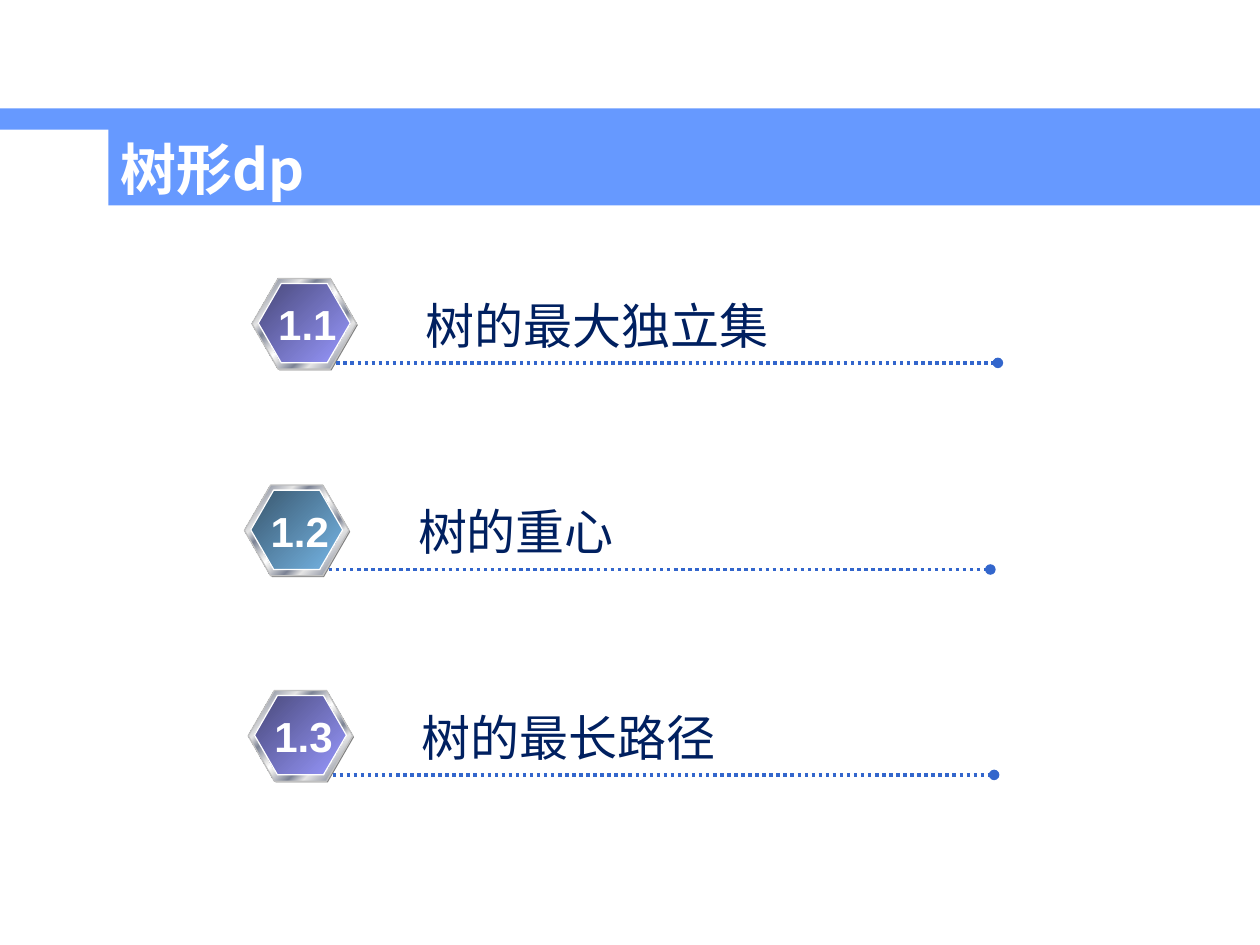
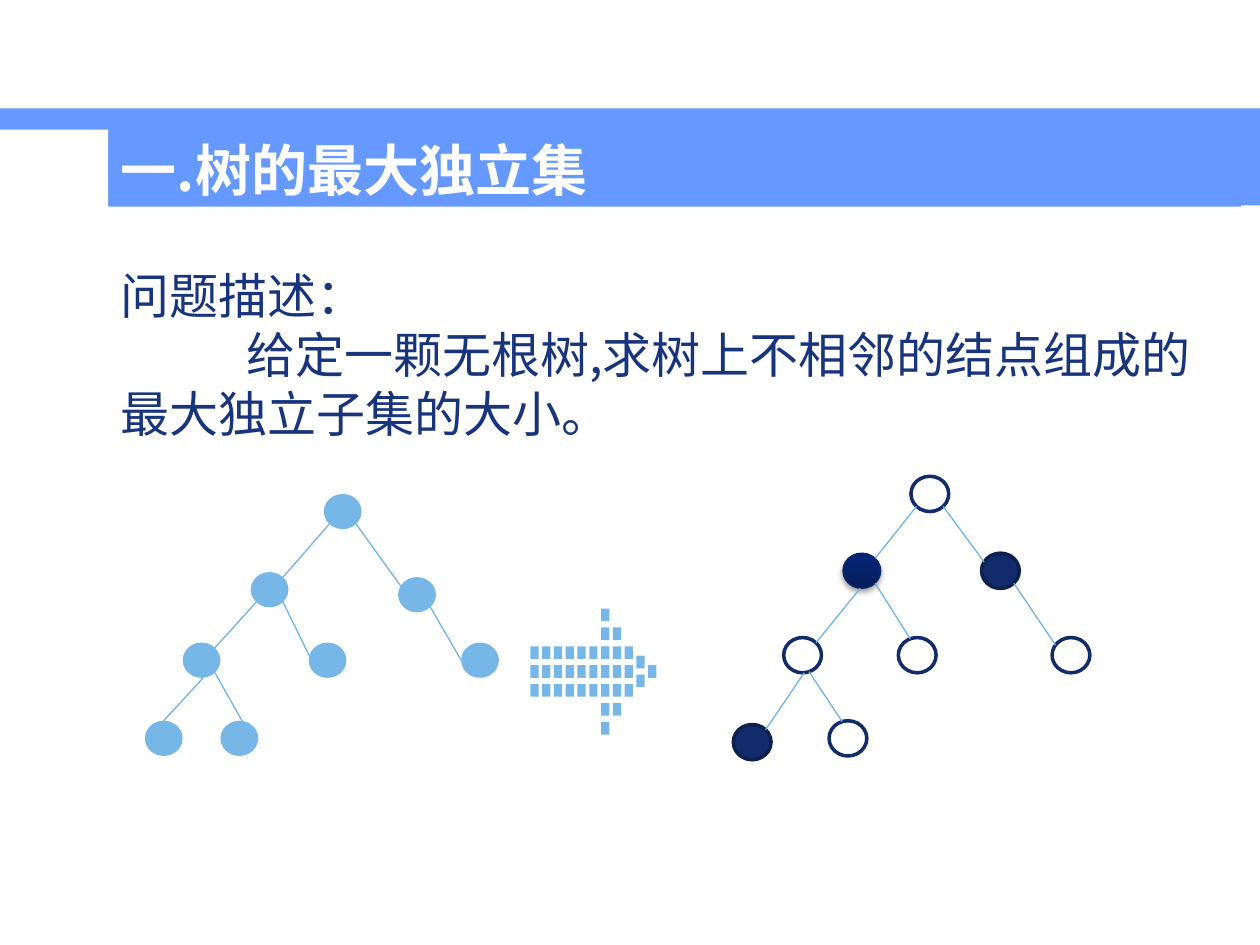
from math import cos, radians, sin

from lxml import etree
from pptx import Presentation
from pptx.dml.color import RGBColor
from pptx.enum import dml, shapes, text
from pptx.oxml import parse_xml
from pptx.oxml.ns import nsdecls, qn
from pptx.util import Inches, Pt

COLORS = {
    "band": "6699FF", "white": "FFFFFF", "row_text": "002060", "body": "17347D",
    "leader": "3366CC", "hexagon_shade": "808080", "rim": "C0C0C0",
    "sky": "77B7E7", "edge": "72B3E5",
    "navy": "122B6A", "navy_line": "0D204E", "glossy_line": "0F296A",
}
METAL = [(0, "E6E6E6"), (8, "7D8496"), (26, "E6E6E6"), (34, "7D8496"), (46, "E6E6E6"),
         (50, "FFFFFF"), (54, "E6E6E6"), (66, "7D8496"), (74, "E6E6E6"),
         (92, "7D8496"), (100, "E6E6E6")]
VIOLET = [(0, "484879"), (100, "9999FF")]
BLUE = [(0, "38566D"), (100, "77B7E7")]
GLOSSY = [(0, "041C59"), (80, "052473"), (100, "032376")]
SANS, SANS_JP, ARIAL = "Noto Sans CJK SC", "Noto Sans CJK JP", "Arial"
SHAPE = shapes.MSO_SHAPE
NODE_WIDTH, NODE_HEIGHT = 0.3, 0.28


def rgb(name):
    return RGBColor.from_string(COLORS[name])


def add_gradient(shape, stops, angle):
    """Fill the shape with a linear gradient of (percent, hex) stops."""
    stop_xml = "".join(
        f'<a:gs pos="{percent * 1000}"><a:srgbClr val="{color}"/></a:gs>'
        for percent, color in stops)
    gradient = parse_xml(
        f'<a:gradFill {nsdecls("a")} rotWithShape="1"><a:gsLst>{stop_xml}</a:gsLst>'
        f'<a:lin ang="{angle * 60000}" scaled="1"/></a:gradFill>')
    shape.fill.background()
    empty_fill = shape._element.spPr.find(qn("a:noFill"))
    empty_fill.getparent().replace(empty_fill, gradient)


def add_shape(parent, kind, left, top, width, height, fill=None, line=None, weight=0.75):
    shape = parent.shapes.add_shape(
        kind, Inches(left), Inches(top), Inches(width), Inches(height))
    shape.shadow.inherit = False
    if fill:
        shape.fill.solid()
        shape.fill.fore_color.rgb = rgb(fill)
    if line:
        shape.line.color.rgb = rgb(line)
        shape.line.width = Pt(weight)
    else:
        shape.line.fill.background()
    return shape


def add_line(parent, start, end, color, weight):
    line = parent.shapes.add_connector(
        shapes.MSO_CONNECTOR.STRAIGHT, *(Inches(value) for value in (*start, *end)))
    line.line.color.rgb = rgb(color)
    line.line.width = Pt(weight)
    etree.SubElement(line._element.spPr, qn("a:effectLst"))
    return line


def write(para, words, size, color, font, bold=False):
    span = para.add_run()
    span.text = words
    span.font.size = Pt(size)
    span.font.bold = bold
    span.font.name = font
    span.font.color.rgb = rgb(color)
    east_asian = etree.SubElement(span._r.get_or_add_rPr(), qn("a:ea"))
    east_asian.set("typeface", SANS if font == ARIAL else font)


def add_tab_stop(para, position):
    stops = etree.SubElement(para._p.get_or_add_pPr(), qn("a:tabLst"))
    stop = etree.SubElement(stops, qn("a:tab"))
    stop.set("pos", str(Inches(position)))
    stop.set("algn", "l")


def add_text_box(parent, left, top, width, height, wrap=False):
    box = parent.shapes.add_textbox(
        Inches(left), Inches(top), Inches(width), Inches(height))
    box.text_frame.word_wrap = wrap
    return box.text_frame


def add_title(page, words, width=9.14, height=0.61):
    """Draw the header bands and the title, which covers all or most of the lower band."""
    add_shape(page, SHAPE.RECTANGLE, 0, 0.86, 10, 0.17, "band")
    if width < 9.14:
        add_shape(page, SHAPE.RECTANGLE, 0.86, 1.02, 9.14, 0.61, "band")
    title = add_shape(page, SHAPE.RECTANGLE, 0.86, 1.02, width, height, "band")
    title.text_frame.vertical_anchor = text.MSO_ANCHOR.MIDDLE
    title.text_frame.margin_top = Inches(0.07)
    para = title.text_frame.paragraphs[0]
    para.alignment = text.PP_ALIGN.LEFT
    write(para, words, 32, "white", SANS, bold=True)


def add_topic(page, left, top, number, words, words_width, stops):
    """Place one agenda row: a metal hexagon, its number, the topic and a dotted leader."""
    row = page.shapes.add_group_shape()

    def hexagon(x, y, width, height, **style):
        shape = add_shape(row, SHAPE.HEXAGON, left + x, top + y, width, height, **style)
        shape.adjustments[0] = 0.289
        return shape

    hexagon(0.01, 0.01, 0.83, 0.72, fill="hexagon_shade")
    add_gradient(hexagon(0, 0, 0.83, 0.72, line="rim"), METAL, 45)
    add_gradient(hexagon(0.05, 0.04, 0.73, 0.63, line="white"), stops, 45)

    leader = add_line(row, (left + 0.67, top + 0.67), (left + 5.92, top + 0.67), "leader", 2)
    leader.line.dash_style = dml.MSO_LINE.ROUND_DOT
    etree.SubElement(leader.line._get_or_add_ln(), qn("a:tailEnd")).set("type", "oval")

    topic = add_text_box(row, left + 1.28, top + 0.08, words_width, 0.57)
    topic.vertical_anchor = text.MSO_ANCHOR.MIDDLE
    write(topic.paragraphs[0], words, 28, "row_text", ARIAL)
    label = add_text_box(row, left + 0.11, top + 0.11, 0.66, 0.5)
    label.paragraphs[0].alignment = text.PP_ALIGN.CENTER
    write(label.paragraphs[0], number, 24, "white", ARIAL, bold=True)


def add_tree(page, left, top, nodes, edges, styles):
    """Draw nodes at offsets; edges are (parent, child, angle on parent, angle on child)."""
    drawn = {}
    for name, (x, y) in nodes.items():
        drawn[name] = add_shape(page, SHAPE.OVAL, left + x, top + y,
                                NODE_WIDTH, NODE_HEIGHT, **styles(name))

    def rim_point(name, angle):
        x, y = nodes[name]
        return (left + x + NODE_WIDTH / 2 * (1 + cos(radians(angle))),
                top + y + NODE_HEIGHT / 2 * (1 - sin(radians(angle))))

    for parent, child, parent_angle, child_angle in edges:
        add_line(page, rim_point(parent, parent_angle), rim_point(child, child_angle),
                 "edge", 0.75)
    return drawn


def add_glossy_finish(node):
    add_gradient(node, GLOSSY, 270)
    effects = node._element.spPr.find(qn("a:effectLst"))
    effects.append(parse_xml(
        f'<a:outerShdw {nsdecls("a")} blurRad="{Pt(3.1)}" dist="{Pt(1.8)}" dir="5400000" '
        'rotWithShape="0"><a:srgbClr val="000000"><a:alpha val="35000"/></a:srgbClr>'
        '</a:outerShdw>'))


def add_tile_arrow(page, left, top):
    """Build a right arrow out of small tiles, as one outline."""
    column_step, row_step, tile_width, tile_height = 0.0935, 0.15, 0.065, 0.1
    tiles = [(column, row) for row in (2, 3, 4) for column in range(9)]
    tiles += [(6, 0), (6, 1), (7, 1), (6, 5), (7, 5), (6, 6)]
    tiles += [(9, 2.5), (9, 3.5), (10, 3)]
    builder = None
    for column, row in tiles:
        x, y = left + column * column_step, top + row * row_step
        if builder is None:
            builder = page.shapes.build_freeform(Inches(x), Inches(y))
        else:
            builder.move_to(Inches(x), Inches(y))
        corners = [(x + tile_width, y), (x + tile_width, y + tile_height),
                   (x, y + tile_height)]
        builder.add_line_segments([(Inches(a), Inches(b)) for a, b in corners], close=True)
    arrow = builder.convert_to_shape()
    arrow.shadow.inherit = False
    arrow.fill.solid()
    arrow.fill.fore_color.rgb = rgb("sky")
    arrow.line.fill.background()


def build_agenda(page):
    add_title(page, "树形dp")
    add_topic(page, 2, 2.21, "1.1", "树的最大独立集", 2.92, VIOLET)
    add_topic(page, 1.94, 3.85, "1.2", "树的重心", 1.76, BLUE)
    add_topic(page, 1.97, 5.48, "1.3", "树的最长路径", 2.56, VIOLET)


def build_problem(page):
    add_title(page, "一.树的最大独立集", width=8.99, height=0.62)
    body = add_text_box(page, 0.86, 2.06, 8.8, 2.93, wrap=True)
    write(body.paragraphs[0], "问题描述：", 28, "body", SANS_JP)
    description = body.add_paragraph()
    add_tab_stop(description, 1)
    write(description, "\t给定一颗无根树,求树上不相邻的结点组成的最大独立子集的大小。",
          28, "body", SANS_JP)

    add_tree(
        page, 1.15, 3.92,
        {"root": (1.42, 0), "a": (0.84, 0.62), "b": (2.01, 0.66), "aa": (0.3, 1.18),
         "ab": (1.3, 1.18), "bb": (2.51, 1.18), "aaa": (0, 1.8), "aab": (0.6, 1.8)},
        [("root", "a", 225, 45), ("a", "aa", 225, 45), ("aa", "aaa", 275, 90),
         ("aa", "aab", 315, 82), ("root", "b", 315, 150), ("a", "ab", 315, 165),
         ("b", "bb", 315, 180)],
        lambda name: {"fill": "sky"})

    add_tile_arrow(page, 4.21, 4.83)

    chosen = {"a", "b", "aaa"}

    def chosen_style(name):
        if name == "a":
            return {"line": "glossy_line"}
        if name in chosen:
            return {"fill": "navy", "line": "navy_line", "weight": 2}
        return {"fill": "white", "line": "navy", "weight": 2}

    solution = add_tree(
        page, 5.82, 3.78,
        {"root": (1.41, 0), "a": (0.87, 0.61), "b": (1.97, 0.61), "aa": (0.4, 1.28),
         "ab": (1.31, 1.28), "bb": (2.53, 1.28), "aaa": (0, 1.97), "aab": (0.76, 1.94)},
        [("root", "a", 225, 45), ("a", "aa", 265, 45), ("aa", "aaa", 275, 45),
         ("a", "ab", 315, 112), ("aa", "aab", 290, 108), ("root", "b", 315, 150),
         ("b", "bb", 315, 145)],
        chosen_style)
    add_glossy_finish(solution["a"])


def main():
    deck = Presentation()
    deck.slide_width, deck.slide_height = Inches(10), Inches(7.5)
    for build in (build_agenda, build_problem):
        build(deck.slides.add_slide(deck.slide_layouts[6]))
    deck.save("out.pptx")


if __name__ == "__main__":
    main()
